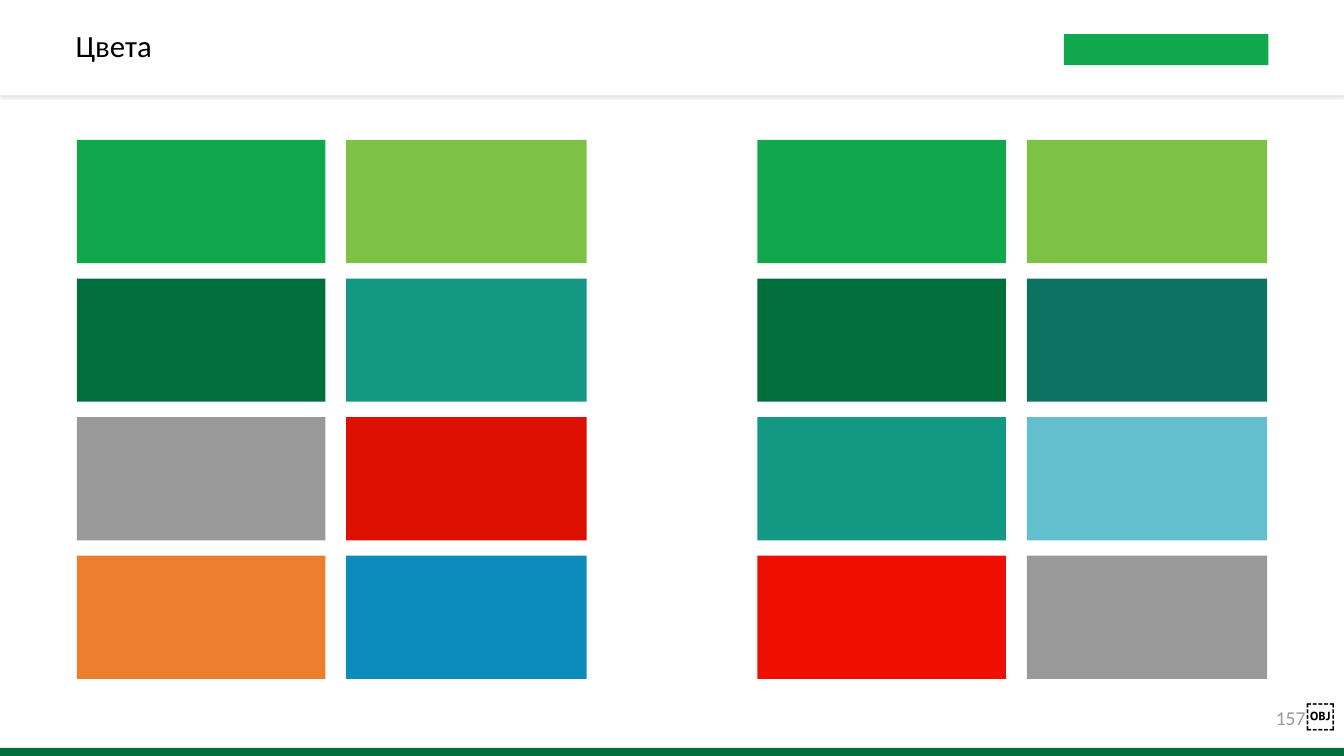
from lxml import etree
from pptx import Presentation
from pptx.dml.color import RGBColor
from pptx.enum.shapes import MSO_SHAPE
from pptx.enum.text import MSO_ANCHOR, PP_ALIGN
from pptx.oxml.ns import qn
from pptx.util import Pt

RECT = MSO_SHAPE.RECTANGLE
MIDDLE = MSO_ANCHOR.MIDDLE
LEFT, CENTER = PP_ALIGN.LEFT, PP_ALIGN.CENTER

GREEN, DARK_GREEN, LIME = "11A74C", "006F3C", "7DC244"
TEAL, GREY, WHITE, BLACK = "139884", "999999", "FFFFFF", "000000"

# Swatch grid: palette left edges, then columns as (offset, width)
PALETTES = [
    (54.9, [(GREEN, LIME), (DARK_GREEN, TEAL),
            (GREY, "DC0F00"), ("EB7F2E", "0C8CBB")]),
    (541, [(GREEN, LIME), (DARK_GREEN, "0E7263"),
           (TEAL, "63BFCD"), ("EF0F00", GREY)]),
]
COLUMNS = [(0, 177.6), (192.4, 171.8)]
ROW_TOP, ROW_STEP, ROW_HEIGHT = 100, 99, 88


def rgb(color):
    return RGBColor.from_string(color)


def add_rect(s, x, y, w, h, color):
    sp = s.shapes.add_shape(RECT, Pt(x), Pt(y), Pt(w), Pt(h))
    sp.shadow.inherit = False
    sp.fill.solid()
    sp.fill.fore_color.rgb = rgb(color)
    sp.line.fill.background()
    return sp


def add_shadow(sp, color, alpha, blur, dist):
    """Cast a soft shadow straight down."""
    effects = sp._element.spPr.find(qn("a:effectLst"))
    shadow = etree.SubElement(
        effects, qn("a:outerShdw"), blurRad=str(Pt(blur)),
        dist=str(Pt(dist)), dir="5400000", algn="t", rotWithShape="0")
    clr = etree.SubElement(shadow, qn("a:srgbClr"), val=color)
    etree.SubElement(clr, qn("a:alpha"), val=str(alpha * 1000))


def add_text(s, x, y, w, h, runs, align):
    """Add one line of runs, each given as (text, font, size, colour)."""
    tf = s.shapes.add_textbox(Pt(x), Pt(y), Pt(w), Pt(h)).text_frame
    tf.word_wrap = True
    tf.vertical_anchor = MIDDLE
    tf.margin_left = tf.margin_right = tf.margin_top = tf.margin_bottom = 0
    p = tf.paragraphs[0]
    p.alignment = align
    for text, font, size, color in runs:
        r = p.add_run()
        r.text = text
        r.font.name = font
        r.font.size = Pt(size)
        r.font.color.rgb = rgb(color)
    return p


def add_palette(s, left, rows):
    for i, colors in enumerate(rows):
        for (offset, width), color in zip(COLUMNS, colors):
            add_rect(s, left + offset, ROW_TOP + i * ROW_STEP,
                     width, ROW_HEIGHT, color)


def main():
    prs = Presentation()
    prs.slide_width, prs.slide_height = Pt(960), Pt(540)
    s = prs.slides.add_slide(prs.slide_layouts[6])

    # Footer band and page number
    add_rect(s, 0, 534.2, 960, 5.8, DARK_GREEN)
    add_text(s, 905, 497.5, 55, 25,
             [("157", "Calibri", 14, GREY), ("￼", "Cabin", 21, BLACK)], CENTER)

    # Header with title and brand block
    header = add_rect(s, 0, 0, 960, 68, WHITE)
    add_shadow(header, "8A8A8A", 20, 1, 2)
    add_rect(s, 760, 24.5, 146, 22, GREEN)
    title = add_text(s, 54, 0, 694, 68,
                     [("Цвета", "Calibri", 22, BLACK)], LEFT)
    title.line_spacing = 0.9

    # Colour swatches
    for left, rows in PALETTES:
        add_palette(s, left, rows)

    prs.save("out.pptx")


if __name__ == "__main__":
    main()
